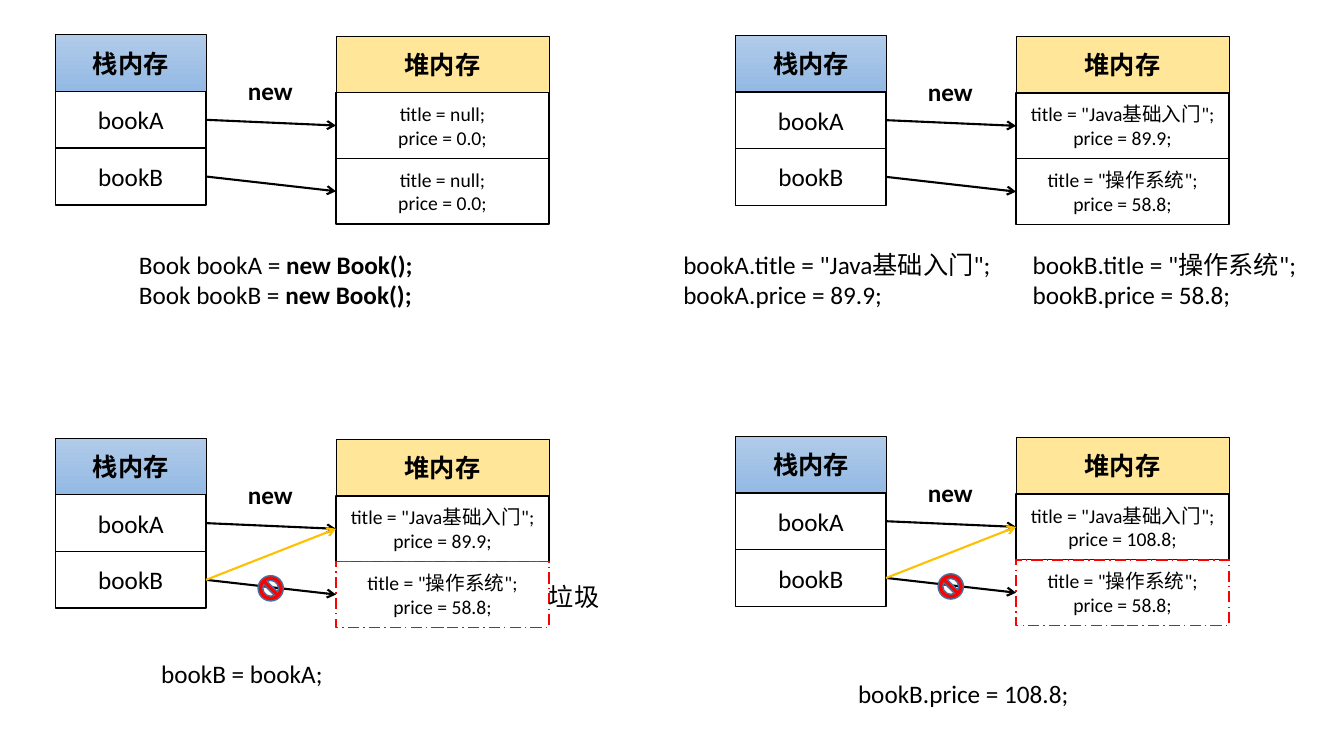
from pptx import Presentation
from pptx.dml.color import RGBColor
from pptx.enum.dml import MSO_LINE
from pptx.enum.shapes import MSO_CONNECTOR as CONN, MSO_SHAPE as SHAPE
from pptx.enum.text import MSO_ANCHOR as ANCHOR, MSO_AUTO_SIZE as AUTO, PP_ALIGN as ALIGN
from pptx.oxml.ns import qn
from pptx.util import Inches, Pt
from lxml.etree import SubElement

W, H = 13.33, 7.5
STACK_X, STACK_W = 4.13, 11.2
HEAP_X, HEAP_W = 25, 15.85
STACK_ROW, HEAP_ROW, HEAP_DROP = 7.5, 8.7, 0.15
RIGHT = 50.6
CALL = "new Book();"
JAVA, OS = 'title = "Java基础入门";', 'title = "操作系统";'
EMPTY = ["title = null;", "price = 0.0;"]
JAVA_BOOK, OS_BOOK = [JAVA, "price = 89.9;"], [OS, "price = 58.8;"]


def rgb(value):
    return RGBColor.from_string(value)


def across(share):
    return Inches(W * share / 100)


def down(share):
    return Inches(H * share / 100)


def place(x, y, w, h):
    return across(x), down(y), across(w), down(h)


def write(tf, lines, size, bold=False, align=ALIGN.LEFT):
    for i, line in enumerate(lines):
        p = tf.paragraphs[0] if i == 0 else tf.add_paragraph()
        p.alignment = align
        p.font.name, p.font.size = "Calibri", Pt(size)
        p.font.color.rgb = rgb("000000")
        p.font.bold = bold
        before, call, _ = line.partition(CALL)
        p.add_run().text = before
        if call:
            r = p.add_run()
            r.text = call
            r.font.bold = True


def add_label(s, x, y, w, lines, bold=False, wrap=False):
    tf = s.shapes.add_textbox(*place(x, y, w, 1.35 + 4 * len(lines))).text_frame
    tf.word_wrap = wrap
    tf.auto_size = AUTO.SHAPE_TO_FIT_TEXT
    write(tf, lines, 18, bold)


def add_shape(s, kind, box, fill, line, width):
    sp = s.shapes.add_shape(kind, *place(*box))
    sp.shadow.inherit = False
    sp.fill.solid()
    sp.fill.fore_color.rgb = rgb(fill)
    sp.line.color.rgb = rgb(line)
    sp.line.width = Pt(width)
    return sp


def add_cell(s, box, lines, size=18, fill="FFFFFF", header=False):
    sp = add_shape(s, SHAPE.RECTANGLE, box, fill, "000000", 0.5 if header else 1)
    tf = sp.text_frame
    tf.word_wrap = True
    tf.vertical_anchor = ANCHOR.MIDDLE
    tf.margin_left = tf.margin_right = Inches(0.05)
    write(tf, lines, size, header, ALIGN.CENTER)
    return sp


def shade(sp, top, bottom):
    sp.fill.gradient()
    sp.fill.gradient_angle = 270
    for stop, color, position in zip(sp.fill.gradient_stops, (top, bottom), (0, 1)):
        stop.color.rgb = rgb(color)
        stop.position = position


def add_arrow(s, x1, y1, x2, y2, color="000000"):
    c = s.shapes.add_connector(CONN.STRAIGHT, across(x1), down(y1), across(x2), down(y2))
    c.line.color.rgb = rgb(color)
    c.line.width = Pt(1.5)
    SubElement(c.line._get_or_add_ln(), qn("a:tailEnd"), type="arrow")
    SubElement(c._element.spPr, qn("a:effectLst"))


def add_panel(s, dx, top, books, garbage=False):
    stack_x, heap_x = STACK_X + dx, HEAP_X + dx
    heap_top = top + HEAP_DROP
    header = add_cell(s, (stack_x, top, STACK_W, STACK_ROW), ["栈内存"], header=True)
    shade(header, "B1CBE9", "93B9E4")
    add_cell(s, (heap_x, heap_top, HEAP_W, STACK_ROW), ["堆内存"], fill="FFE699", header=True)
    add_label(s, 17.7 + dx, top + 4.75, 4.9, ["new"], bold=True)

    starts, ends = [], []
    for i, (name, book) in enumerate(zip(("bookA", "bookB"), books)):
        stack_y = top + STACK_ROW * (i + 1)
        heap_y = heap_top + STACK_ROW + HEAP_ROW * i
        add_cell(s, (stack_x, stack_y, STACK_W, STACK_ROW), [name])
        cell = add_cell(s, (heap_x, heap_y, HEAP_W, HEAP_ROW), book, 14)
        if garbage and i == 1:
            cell.line.color.rgb = rgb("FF0000")
            cell.line.dash_style = MSO_LINE.LONG_DASH_DOT
        starts.append(stack_y + STACK_ROW / 2)
        ends.append(heap_y + HEAP_ROW / 2)
        add_arrow(s, stack_x + STACK_W, starts[i], heap_x, ends[i])

    if garbage:
        add_shape(s, SHAPE.NO_SYMBOL, (19.2 + dx, top + 18.2, 1.88, 3.35), "FF0000", "43739E", 1)
        add_arrow(s, stack_x + STACK_W, starts[1], heap_x, ends[0], "FFC000")


def main():
    prs = Presentation()
    prs.slide_width, prs.slide_height = Inches(W), Inches(H)
    s = prs.slides.add_slide(prs.slide_layouts[6])

    add_panel(s, 0, 4.6, [EMPTY, EMPTY])
    add_panel(s, RIGHT, 4.65, [JAVA_BOOK, OS_BOOK])
    add_panel(s, 0, 57.95, [JAVA_BOOK, OS_BOOK], garbage=True)
    add_panel(s, RIGHT, 57.7, [[JAVA, "price = 108.8;"], OS_BOOK], garbage=True)

    add_label(s, 9.6, 32.3, 22.05, ["Book bookA = " + CALL, "Book bookB = " + CALL])
    add_label(s, 50.1, 32.3, 24.6, ["bookA." + JAVA, "bookA.price = 89.9;"], wrap=True)
    add_label(s, 76.1, 32.3, 21.3, ["bookB." + OS, "bookB.price = 58.8;"], wrap=True)
    add_label(s, 11.25, 86.4, 13.7, ["bookB = bookA;"])
    add_label(s, 40.1, 76.3, 5.35, ["垃圾"])
    add_label(s, 63.1, 89.1, 17.3, ["bookB.price = 108.8;"])
    prs.save("out.pptx")


if __name__ == "__main__":
    main()
